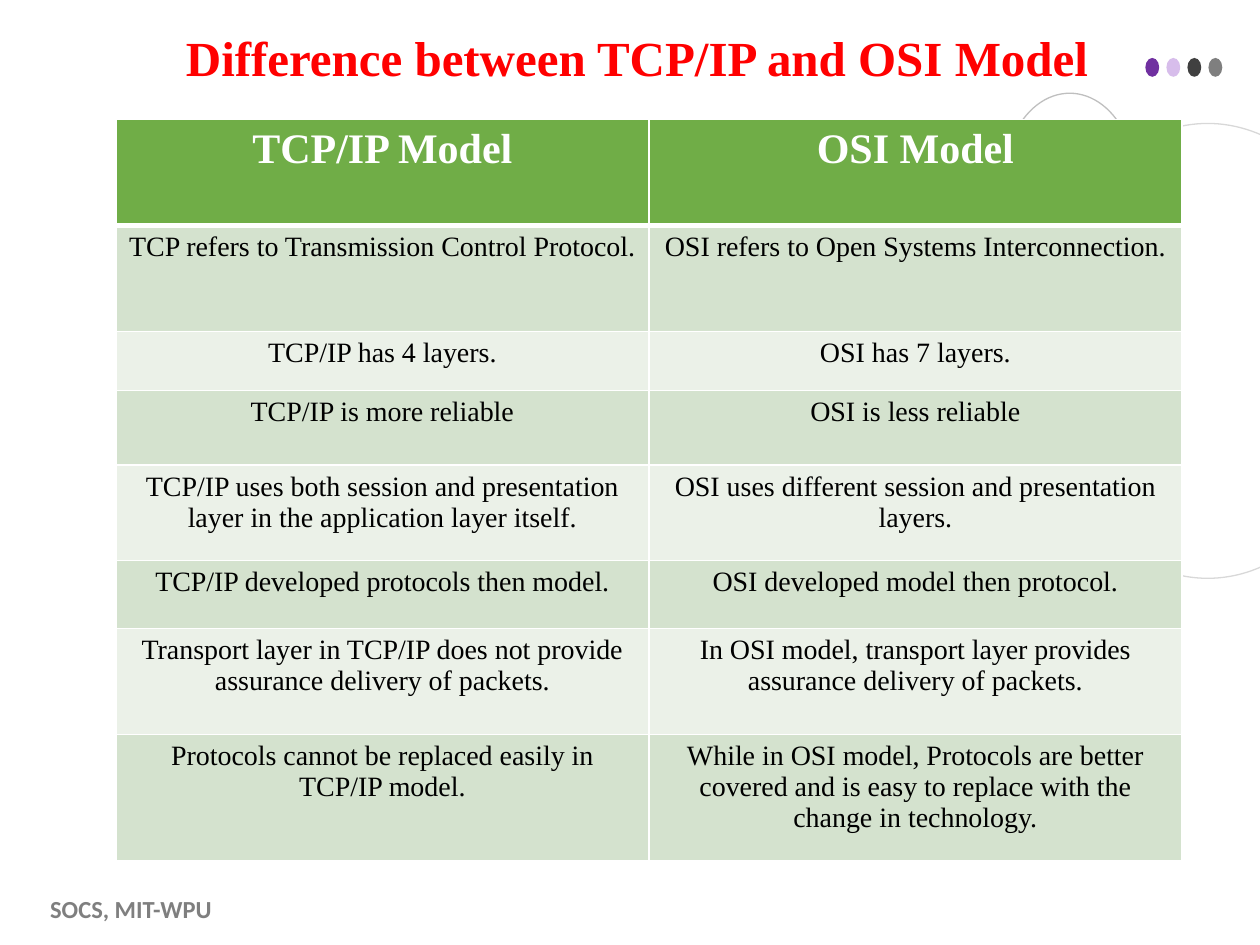
from lxml.etree import SubElement
from pptx import Presentation
from pptx.dml.color import RGBColor
from pptx.enum.shapes import MSO_SHAPE
from pptx.enum.text import MSO_ANCHOR, MSO_AUTO_SIZE, PP_ALIGN
from pptx.oxml.ns import qn
from pptx.util import Inches, Pt

TITLE = "Difference between TCP/IP and OSI Model"
FOOTER = "SOCS, MIT-WPU"
ROWS = [
    (0.84, "TCP/IP Model", "OSI Model"),
    (0.84, "TCP refers to Transmission Control Protocol.",
     "OSI refers to Open Systems Interconnection."),
    (0.47, "TCP/IP has 4 layers.", "OSI has 7 layers."),
    (0.59, "TCP/IP is more reliable", "OSI is less reliable"),
    (0.76, "TCP/IP uses both session and presentation layer in the application layer itself.",
     "OSI uses different session and presentation layers."),
    (0.54, "TCP/IP developed protocols then model.", "OSI developed model then protocol."),
    (0.84, "Transport layer in TCP/IP does not provide assurance delivery of packets.",
     "In OSI model, transport layer provides assurance delivery of packets."),
    (1.0, "Protocols cannot be replaced easily in TCP/IP model.",
     "While in OSI model, Protocols are better covered and is easy to replace "
     "with the change in technology."),
]
THEME = {
    "title": {"name": "Times New Roman", "size": 28, "bold": True, "color": "FF0000"},
    "head": {"name": "Times New Roman", "size": 24, "bold": True, "color": "FFFFFF"},
    "body": {"name": "Times New Roman", "size": 16, "bold": False, "color": "000000"},
    "footer": {"name": "Calibri", "size": 14, "bold": True, "color": "7F7F7F"},
    "head_fill": "70AD47",
    "bands": ("D4E2CE", "EBF1E8"),
    "border": "FFFFFF",
    "dots": (("7030A0", 100), ("C7A2E3", 70), ("404040", 100), ("7F7F7F", 100)),
}
RINGS = [((8.23, 0.98, 2.71, 3.61), "D8D8D8"), ((7.97, 0.74, 1.04, 1.39), "BFBFBF")]
TABLE_LEFT, TABLE_TOP, COL_WIDTH = 0.92, 0.95, 4.23
DOT_LEFT, DOT_TOP, DOT_PITCH, DOT_SIZE = 9.09, 0.46, 0.167, (0.11, 0.15)


def write(tf, text, style, align, spacing=1.0):
    p = tf.paragraphs[0]
    p.alignment = align
    p.line_spacing = spacing
    r = p.add_run()
    r.text = text
    values = dict(THEME[style])
    r.font.color.rgb = RGBColor.from_string(values.pop("color"))
    values["size"] = Pt(values["size"])
    for name, value in values.items():
        setattr(r.font, name, value)


def add_ellipse(shapes, box):
    sp = shapes.add_shape(MSO_SHAPE.OVAL, *map(Inches, box))
    sp.shadow.inherit = False
    return sp


def add_border(cell, side, width):
    ln = SubElement(cell._tc.get_or_add_tcPr(), qn(f"a:ln{side}"), w=str(Pt(width)))
    fill = SubElement(ln, qn("a:solidFill"))
    SubElement(fill, qn("a:srgbClr"), val=THEME["border"])


def add_decoration(slide):
    dots = slide.shapes.add_group_shape()
    for i, (color, opacity) in enumerate(THEME["dots"]):
        sp = add_ellipse(dots.shapes, (DOT_LEFT + i * DOT_PITCH, DOT_TOP, *DOT_SIZE))
        sp.fill.solid()
        sp.fill.fore_color.rgb = RGBColor.from_string(color)
        sp.line.fill.background()
        if opacity < 100:
            clr = sp.fill._xPr.find(".//" + qn("a:srgbClr"))
            SubElement(clr, qn("a:alpha"), val=str(opacity * 1000))
    for box, color in RINGS:
        sp = add_ellipse(slide.shapes, box)
        sp.fill.background()
        sp.line.color.rgb = RGBColor.from_string(color)
        sp.line.width = Pt(0.75)


def add_title(slide):
    sp = slide.shapes.title
    sp.left, sp.top, sp.width, sp.height = map(Inches, (0.92, 0.09, 8.27, 0.6))
    tf = sp.text_frame
    settings = {"margin_left": 0, "margin_top": 0, "margin_right": 0, "margin_bottom": 0,
                "word_wrap": True, "auto_size": MSO_AUTO_SIZE.NONE,
                "vertical_anchor": MSO_ANCHOR.BOTTOM}
    for name, value in settings.items():
        setattr(tf, name, value)
    write(tf, TITLE, "title", PP_ALIGN.CENTER, 0.9)


def add_comparison(slide):
    height = sum(row[0] for row in ROWS)
    box = (TABLE_LEFT, TABLE_TOP, 2 * COL_WIDTH, height)
    table = slide.shapes.add_table(len(ROWS), 2, *map(Inches, box)).table
    for column in table.columns:
        column.width = Inches(COL_WIDTH)
    for i, (row_height, *texts) in enumerate(ROWS):
        table.rows[i].height = Inches(row_height)
        color = THEME["bands"][(i - 1) % 2] if i else THEME["head_fill"]
        for j, text in enumerate(texts):
            cell = table.cell(i, j)
            write(cell.text_frame, text, "body" if i else "head", PP_ALIGN.CENTER)
            widths = {"L": 1, "R": 1, "T": 3 if i == 1 else 1, "B": 1 if i else 3}
            for side, width in widths.items():
                add_border(cell, side, width)
            cell.fill.solid()
            cell.fill.fore_color.rgb = RGBColor.from_string(color)


def add_footer(slide):
    sp = slide.shapes.add_textbox(*map(Inches, (0.3, 7.07, 1.86, 0.27)))
    sp.text_frame.word_wrap = True
    write(sp.text_frame, FOOTER, "footer", PP_ALIGN.LEFT, 0.9)


def main():
    prs = Presentation()
    prs.slide_width, prs.slide_height = Inches(10), Inches(7.5)
    slide = prs.slides.add_slide(prs.slide_layouts[5])
    add_decoration(slide)
    add_footer(slide)
    add_title(slide)
    add_comparison(slide)
    prs.save("out.pptx")


if __name__ == "__main__":
    main()
